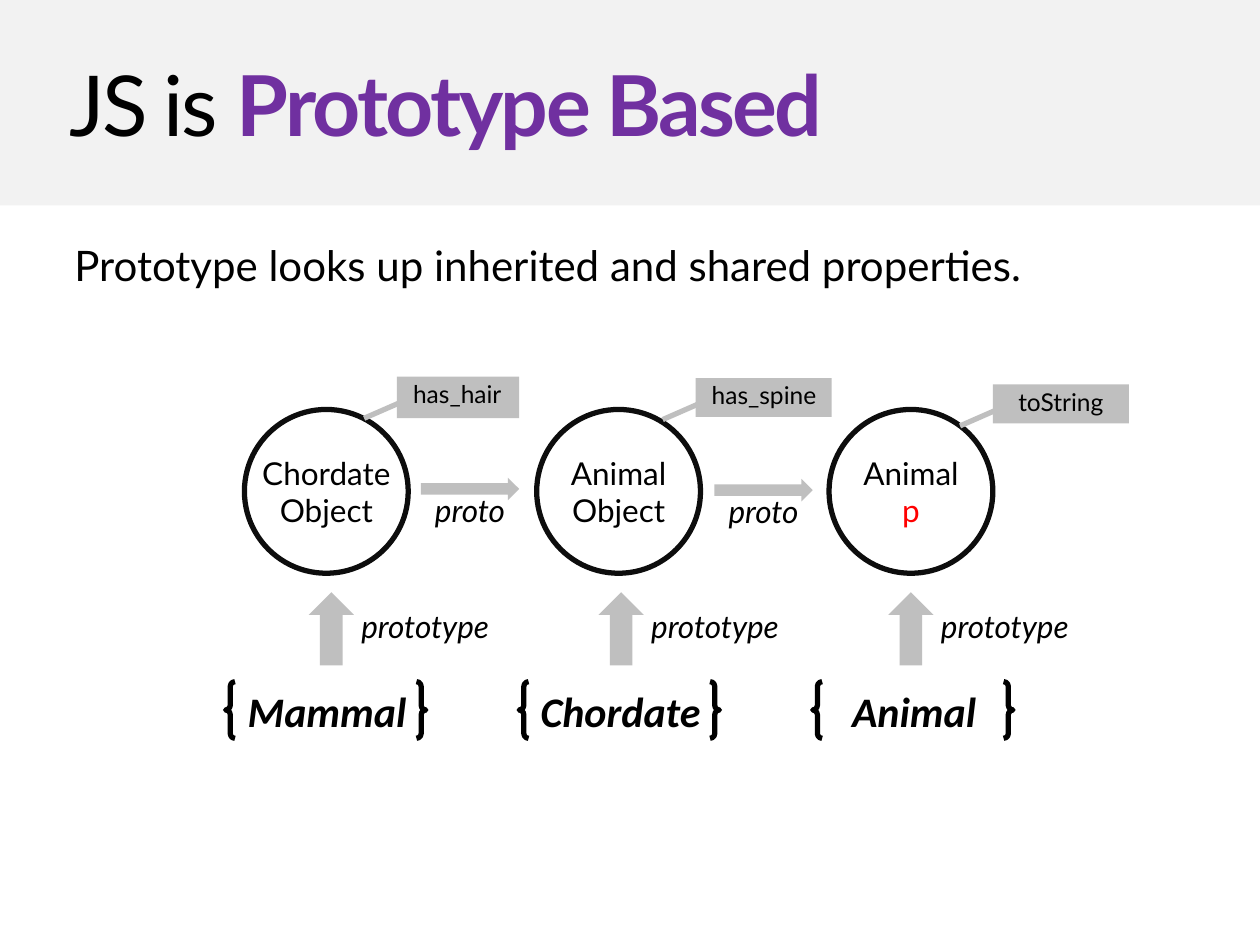
from dataclasses import dataclass

from lxml import etree
from pptx import Presentation
from pptx.dml.color import RGBColor
from pptx.enum import shapes, text
from pptx.oxml.ns import qn
from pptx.util import Inches, Pt

KIND = shapes.MSO_SHAPE
ALIGN = text.PP_ALIGN
FIT = text.MSO_AUTO_SIZE


@dataclass(frozen=True)
class Theme:
    font: str = "Lato"
    code: str = "Calibri"
    ink: str = "000000"
    ring: str = "0D0D0D"
    gray: str = "BFBFBF"
    band: str = "F2F2F2"
    mark: str = "7030A0"
    alert: str = "FF0000"
    head: int = 48
    lead: int = 24
    body: int = 18
    small: int = 14
    line: int = 3


THEME = Theme()


def write(para, words, size=THEME.body, color=THEME.ink, font=THEME.font,
          bold=False, ital=False):
    """Add one formatted run to a paragraph."""
    run = para.add_run()
    run.text = words
    face = run.font
    face.name, face.size, face.bold, face.italic = font, Pt(size), bold, ital
    face.color.rgb = RGBColor.from_string(color)


class Board:
    def __init__(self, theme, slide):
        self.theme, self.slide = theme, slide
        self.home = slide.shapes

    def group(self):
        """Send the next elements into a new group."""
        self.home = self.slide.shapes.add_group_shape().shapes

    def leave(self):
        """Send the next elements straight to the slide."""
        self.home = self.slide.shapes

    def shape(self, kind, *area, fill=None, line=None):
        item = self.home.add_shape(kind, *map(Inches, area))
        item.shadow.inherit = False
        if fill:
            item.fill.solid()
            item.fill.fore_color.rgb = RGBColor.from_string(fill)
        else:
            item.fill.background()
        if line:
            item.line.color.rgb = RGBColor.from_string(line)
            item.line.width = Pt(self.theme.line)
        else:
            item.line.fill.background()
        return item

    def link(self, *ends):
        line = self.home.add_connector(shapes.MSO_CONNECTOR.STRAIGHT,
                                       *map(Inches, ends))
        line.line.color.rgb = RGBColor.from_string(self.theme.gray)
        line.line.width = Pt(self.theme.line)
        etree.SubElement(line.element.spPr, qn("a:effectLst"))

    def label(self, lines, *area, wrap=False, tight=False,
              align=ALIGN.CENTER, **style):
        """Add a text box; each line is a text or a (text, color) pair."""
        box = self.home.add_textbox(*map(Inches, area))
        frame = box.text_frame
        frame.word_wrap = wrap
        frame.auto_size = FIT.NONE if tight else FIT.SHAPE_TO_FIT_TEXT
        if tight:
            frame.margin_top = frame.margin_bottom = Inches(0.04)
        for i, (words, color) in enumerate(lines):
            para = frame.add_paragraph() if i else frame.paragraphs[0]
            para.alignment = align
            if tight:
                para.line_spacing = 0.93
            write(para, words, color=color, **style)

    def holder(self, item, area, space):
        """Place a placeholder and return its plain first paragraph."""
        item.left, item.top, item.width, item.height = map(Inches, area)
        frame = item.text_frame
        frame.auto_size, frame.word_wrap = FIT.NONE, True
        frame.vertical_anchor = text.MSO_ANCHOR.TOP
        frame.margin_left = frame.margin_right = Inches(0.09)
        frame.margin_top = frame.margin_bottom = Inches(0.04)
        para = frame.paragraphs[0]
        para.alignment = ALIGN.LEFT
        para.line_spacing, para.space_before = space, Pt(0)
        return para

    def title(self, plain, strong):
        item = self.slide.shapes.title
        band = self.shape(KIND.RECTANGLE, 0, 0, 10, 1.63, fill=self.theme.band)
        item.element.addprevious(band.element)
        para = self.holder(item, (0.46, 0.37, 9.15, 0.83), 1.01)
        write(para, plain, size=self.theme.head)
        write(para, strong, size=self.theme.head, color=self.theme.mark,
              bold=True)
        for props in item.element.iter(qn("a:rPr")):
            props.set("spc", "-150")

    def lead(self, words):
        item = self.slide.placeholders[1]
        para = self.holder(item, (0.5, 1.9, 8.75, 0.49), 0.93)
        write(para, words, size=self.theme.lead)
        props = next(item.element.iter(qn("a:pPr")))
        props.set("marL", "0")
        props.set("indent", "0")
        etree.SubElement(props, qn("a:buNone"))

    def maker(self, name, left):
        """Draw a constructor name between braces."""
        self.group()
        self.shape(KIND.DOUBLE_BRACE, left, 5.41, 1.59, 0.45,
                   line=self.theme.ink)
        self.label([(name, self.theme.ink)], left + 0.03, 5.39, 1.55, 0.5,
                   wrap=True, size=self.theme.lead, font=self.theme.code,
                   bold=True, ital=True)
        self.leave()

    def ring(self, lines, left, width):
        self.group()
        self.shape(KIND.OVAL, left, 3.25, 1.3, 1.3, line=self.theme.ring)
        self.label(lines, left + (1.3 - width) / 2, 3.55, width, 0.71)
        self.leave()

    def rise(self, left):
        """Draw the arrow from a constructor up to its prototype."""
        self.shape(KIND.UP_ARROW, left, 4.7, 0.36, 0.58, fill=self.theme.gray)
        self.label([("prototype", self.theme.ink)], left + 0.29, 4.77,
                   1.27, 0.4, ital=True)

    def step(self, left, top):
        """Draw the arrow from one object to the next in the chain."""
        self.shape(KIND.RIGHT_ARROW, left, top, 0.78, 0.18,
                   fill=self.theme.gray)
        self.label([("proto", self.theme.ink)], left - 0.02, top + 0.06,
                   0.82, 0.4, ital=True)

    def tag(self, name, left, top, width, height, shift, align):
        """Draw a property tag with its line to the ring."""
        self.shape(KIND.RECTANGLE, left, top, width, height,
                   fill=self.theme.gray)
        self.link(left - 0.26, top + 0.33, left + 0.06, top + 0.19)
        self.label([(name, self.theme.ink)], left + shift, top, 0.76, 0.26,
                   tight=True, align=align, size=self.theme.small)


def main():
    deck = Presentation()
    deck.slide_width, deck.slide_height = Inches(10), Inches(7.5)
    board = Board(THEME, deck.slides.add_slide(deck.slide_layouts[1]))
    board.title("JS is ", "Prototype Based")
    board.lead("Prototype looks up inherited and shared properties.")

    chain = [("Mammal", "Chordate", "Object", THEME.ink, 1.25),
             ("Chordate", "Animal", "Object", THEME.ink, 0.98),
             ("Animal", "Animal", "p", THEME.alert, 0.98)]
    for i, (name, upper, lower, color, width) in enumerate(chain):
        board.maker(name, 1.79 + 2.33 * i)
        board.ring([(upper, THEME.ink), (lower, color)], 1.94 + 2.32 * i, width)
        board.rise(2.45 + 2.3 * i)
    for i in range(len(chain) - 1):
        board.step(3.34 + 2.33 * i, 3.79 + 0.01 * i)

    board.tag("has_hair", 3.15, 2.99, 0.97, 0.33, 0.03, ALIGN.LEFT)
    board.tag("has_spine", 5.52, 3, 1.08, 0.31, 0.03, ALIGN.LEFT)
    board.tag("toString", 7.88, 3.05, 1.08, 0.31, 0.16, ALIGN.CENTER)
    deck.save("out.pptx")


if __name__ == "__main__":
    main()
